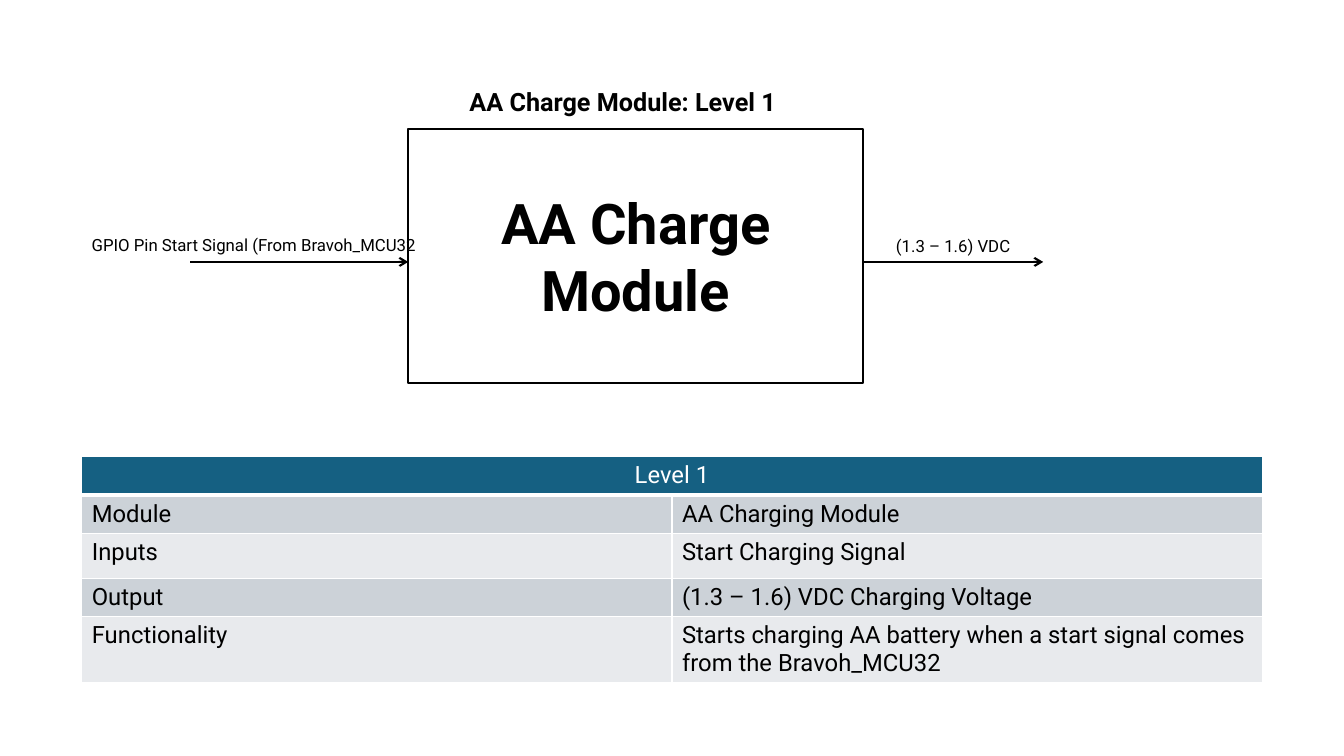
from dataclasses import dataclass

from lxml.etree import SubElement
from pptx import Presentation
from pptx.dml.color import RGBColor
from pptx.enum.shapes import MSO_CONNECTOR, MSO_SHAPE
from pptx.enum.text import MSO_ANCHOR, PP_ALIGN
from pptx.oxml.ns import qn
from pptx.util import Cm, Pt


@dataclass(frozen=True)
class Theme:
    font: str = "Roboto"
    ink: str = "000000"
    paper: str = "FFFFFF"
    header: str = "156082"
    bands: tuple = ("CCD2D8", "E8EAED")
    module_size: float = 40
    title_size: float = 18
    table_size: float = 17
    label_size: float = 12
    line: float = 1.5
    border: float = 1
    header_border: float = 3


THEME = Theme()

MODULE = "AA Charge Module"
TITLE = "AA Charge Module: Level 1"
INPUT = "GPIO Pin Start Signal (From Bravoh_MCU32"
OUTPUT = "(1.3 – 1.6) VDC"
TABLE_HEADER = "Level 1"
TABLE_ROWS = [
    ("Module", "AA Charging Module"),
    ("Inputs", "Start Charging Signal"),
    ("Output", "(1.3 – 1.6) VDC Charging Voltage"),
    ("Functionality",
     "Starts charging AA battery when a start signal comes from the Bravoh_MCU32"),
]

SLIDE = (33.87, 19.05)
MARGIN = 2.06
BOX = (10.29, 3.25, 11.46, 6.4)
BOX_RIGHT = BOX[0] + BOX[2]
SIGNAL_Y = 6.6
ARROWS = [(4.8, BOX[0]), (BOX_RIGHT, 26.29)]
LABELS = [
    (TITLE, (11.58, 2.06, 8.84, 1.02), THEME.title_size, True),
    (INPUT, (MARGIN, 5.79, 9.22, 0.76), THEME.label_size, False),
    (OUTPUT, (22.33, 5.82, 4.55, 0.76), THEME.label_size, False),
]
TABLE_TOP = 11.51
TABLE_WIDTH = SLIDE[0] - 2 * MARGIN
ROW_HEIGHTS = [0.81, 0.81, 1.14, 0.86, 1.47]


def color(value):
    return RGBColor.from_string(value)


def write(tf, text, size, ink=THEME.ink, bold=False, align=PP_ALIGN.LEFT):
    tf.text = text
    tf.word_wrap = True
    p = tf.paragraphs[0]
    p.alignment = align
    font = p.runs[0].font
    font.name, font.size, font.bold = THEME.font, Pt(size), bold
    font.color.rgb = color(ink)


def add_module(shapes):
    sp = shapes.add_shape(MSO_SHAPE.RECTANGLE, *map(Cm, BOX))
    sp.shadow.inherit = False
    sp.fill.solid()
    sp.fill.fore_color.rgb = color(THEME.paper)
    sp.line.color.rgb = color(THEME.ink)
    sp.line.width = Pt(THEME.line)
    sp.text_frame.vertical_anchor = MSO_ANCHOR.MIDDLE
    write(sp.text_frame, MODULE, THEME.module_size, bold=True, align=PP_ALIGN.CENTER)


def add_arrow(shapes, start, end):
    y = Cm(SIGNAL_Y)
    cxn = shapes.add_connector(MSO_CONNECTOR.STRAIGHT, Cm(start), y, Cm(end), y)
    cxn.line.color.rgb = color(THEME.ink)
    cxn.line.width = Pt(THEME.line)
    SubElement(cxn.line._get_or_add_ln(), qn("a:tailEnd"), type="arrow")
    SubElement(cxn._element.spPr, qn("a:effectLst"))


def set_borders(cell, bottom):
    tcPr = cell._tc.get_or_add_tcPr()
    widths = {"L": THEME.border, "R": THEME.border, "T": THEME.border, "B": bottom}
    for side, width in widths.items():
        ln = SubElement(tcPr, qn(f"a:ln{side}"), w=str(Pt(width)))
        fill = SubElement(ln, qn("a:solidFill"))
        SubElement(fill, qn("a:srgbClr"), val=THEME.paper)


def style_cell(cell, text, fill, bottom=THEME.border, **text_style):
    set_borders(cell, bottom)
    cell.fill.solid()
    cell.fill.fore_color.rgb = color(fill)
    if text:
        write(cell.text_frame, text, THEME.table_size, **text_style)


def add_level_table(shapes):
    frame = shapes.add_table(len(ROW_HEIGHTS), 2, Cm(MARGIN), Cm(TABLE_TOP),
                             Cm(TABLE_WIDTH), Cm(sum(ROW_HEIGHTS)))
    table = frame.table
    for column in table.columns:
        column.width = Cm(TABLE_WIDTH / 2)
    for row, height in zip(table.rows, ROW_HEIGHTS):
        row.height = Cm(height)
    table.cell(0, 0).merge(table.cell(0, 1))
    for c, text in enumerate((TABLE_HEADER, "")):
        style_cell(table.cell(0, c), text, THEME.header, THEME.header_border,
                   ink=THEME.paper, align=PP_ALIGN.CENTER)
    for r, texts in enumerate(TABLE_ROWS):
        for c, text in enumerate(texts):
            style_cell(table.cell(r + 1, c), text, THEME.bands[r % 2])


def main():
    prs = Presentation()
    prs.slide_width, prs.slide_height = map(Cm, SLIDE)
    s = prs.slides.add_slide(prs.slide_layouts[6])
    add_module(s.shapes)
    for start, end in ARROWS:
        add_arrow(s.shapes, start, end)
    add_level_table(s.shapes)
    for text, place, size, bold in LABELS:
        tb = s.shapes.add_textbox(*map(Cm, place))
        write(tb.text_frame, text, size, bold=bold)
    prs.save("out.pptx")


if __name__ == "__main__":
    main()
